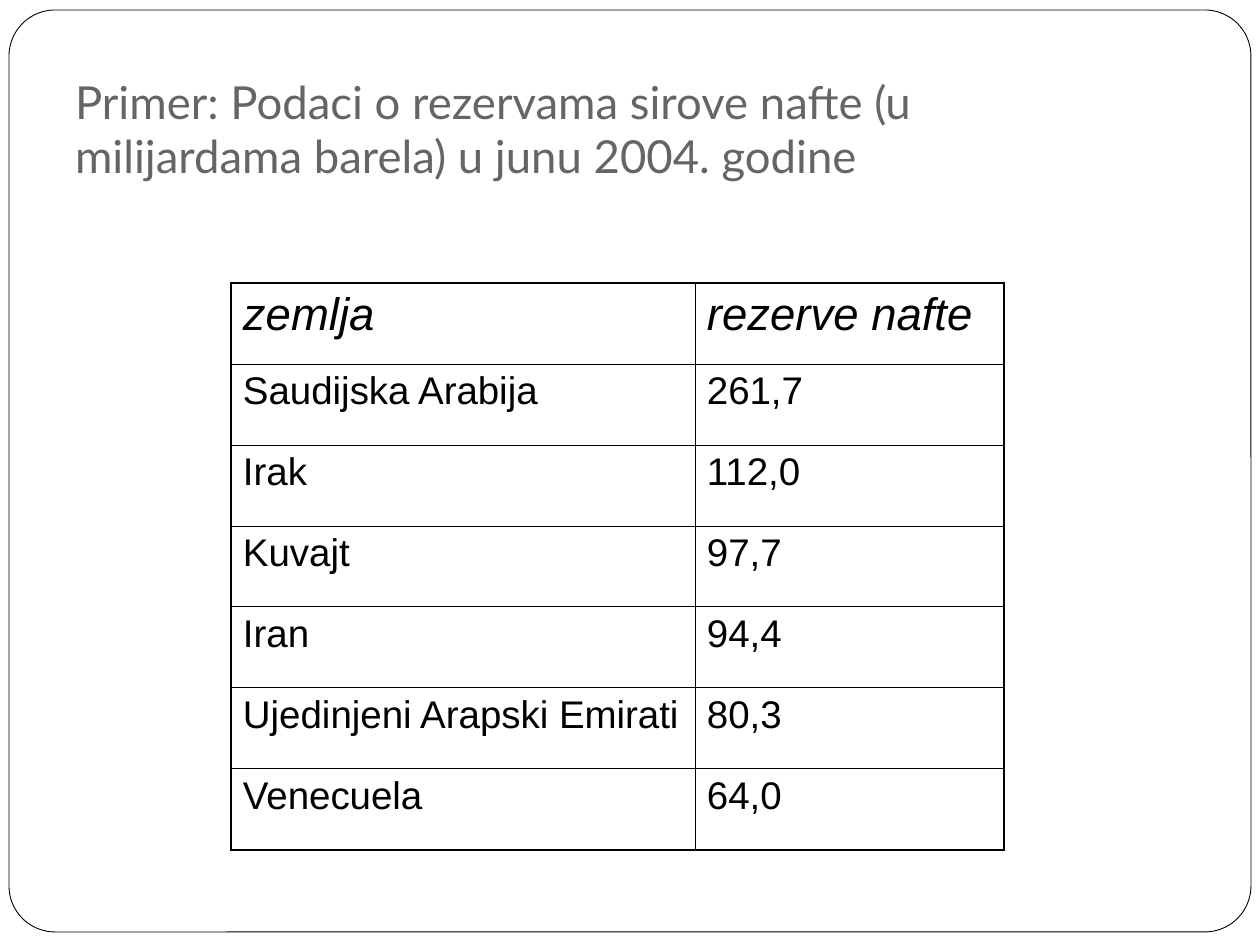
from lxml import etree
from pptx import Presentation
from pptx.dml.color import RGBColor
from pptx.enum.shapes import MSO_SHAPE
from pptx.enum.text import MSO_ANCHOR, MSO_AUTO_SIZE, PP_ALIGN
from pptx.oxml.ns import qn
from pptx.util import Emu, Pt

ROUNDED = MSO_SHAPE.ROUNDED_RECTANGLE
BOTTOM, TOP = MSO_ANCHOR.BOTTOM, MSO_ANCHOR.TOP
LEFT = PP_ALIGN.LEFT
NO_FIT = MSO_AUTO_SIZE.NONE

BLACK = RGBColor(0x00, 0x00, 0x00)
WHITE = RGBColor(0xFF, 0xFF, 0xFF)
GREY = RGBColor(0x69, 0x64, 0x64)

TITLE = ("Primer: Podaci o rezervama sirove nafte "
         "(u milijardama barela) u junu 2004. godine")
RESERVES = [
    ("zemlja", "rezerve nafte"),
    ("Saudijska Arabija", "261,7"),
    ("Irak", "112,0"),
    ("Kuvajt", "97,7"),
    ("Iran", "94,4"),
    ("Ujedinjeni Arapski Emirati", "80,3"),
    ("Venecuela", "64,0"),
]


def px(length):
    return Emu(round(length * 914400 / 126))


def write(frame, text, *, font, size, color=BLACK, italic=False, before=0):
    """Put one formatted, left-aligned paragraph in a text frame."""
    para = frame.paragraphs[0]
    para.alignment = LEFT
    para.space_before = Pt(before)
    span = para.add_run()
    span.text = text
    span.font.name = font
    span.font.size = Pt(size)
    span.font.italic = italic
    span.font.color.rgb = color


def add_border(cell, side, width):
    """Draw one side (L, R, T or B) of a cell, width in points."""
    properties = cell._tc.get_or_add_tcPr()
    line = etree.SubElement(properties, qn(f"a:ln{side}"), w=str(Pt(width)))
    fill = etree.SubElement(line, qn("a:solidFill"))
    etree.SubElement(fill, qn("a:srgbClr"), val=str(BLACK))


class SlideBuilder:
    title_font, table_font = "Lato", "Arial"
    thin, thick = 0.45, 1.08

    def __init__(self, page):
        self.page = page

    def frame(self, left, top, width, height):
        box = self.page.shapes.add_shape(
            ROUNDED, px(left), px(top), px(width), px(height))
        box.adjustments[0] = 0.05
        box.shadow.inherit = False
        box.fill.solid()
        box.fill.fore_color.rgb = WHITE
        box.line.color.rgb = BLACK
        box.line.width = Pt(0.5)
        # Send behind the title
        self.page.shapes._spTree.insert(2, box._element)

    def title(self, text, left, top, width, height):
        box = self.page.shapes.title
        box.left, box.top = px(left), px(top)
        box.width, box.height = px(width), px(height)
        frame = box.text_frame
        frame.word_wrap = True
        frame.auto_size = NO_FIT
        frame.vertical_anchor = BOTTOM
        frame.margin_left = frame.margin_right = frame.margin_bottom = px(12)
        frame.margin_top = px(6)
        write(frame, text, font=self.title_font, size=26, color=GREY)

    def table(self, rows, left, top, widths, row_height):
        table = self.page.shapes.add_table(
            len(rows), len(widths), px(left), px(top),
            px(sum(widths)), px(row_height * len(rows))).table
        table.horz_banding = False
        for column, width in zip(table.columns, widths):
            column.width = px(width)
        for i, texts in enumerate(rows):
            table.rows[i].height = px(row_height)
            for j, text in enumerate(texts):
                cell = table.cell(i, j)
                self.cell(cell, text, header=i == 0)
                outer = {"L": j == 0, "R": j == len(widths) - 1,
                         "T": i == 0, "B": i == len(rows) - 1}
                for side, is_outer in outer.items():
                    add_border(cell, side, self.thick if is_outer else self.thin)
                # The fill follows the borders in the cell properties
                cell.fill.background()

    def cell(self, cell, text, header):
        cell.margin_left = cell.margin_right = px(12)
        cell.margin_top = cell.margin_bottom = px(6)
        cell.vertical_anchor = TOP
        write(cell.text_frame, text, font=self.table_font, italic=header,
              size=26 if header else 22, before=6.5 if header else 5.5)


def main():
    deck = Presentation()
    deck.slide_width, deck.slide_height = px(1260), px(945)
    title_only = deck.slide_layouts[5]
    builder = SlideBuilder(deck.slides.add_slide(title_only))

    # Page frame and title
    builder.frame(9, 10, 1242, 922)
    builder.title(TITLE, 63, 16, 1040, 179)

    # Oil reserves by country
    builder.table(RESERVES, 231, 283, widths=[464, 309], row_height=81)

    deck.save("out.pptx")


if __name__ == "__main__":
    main()
